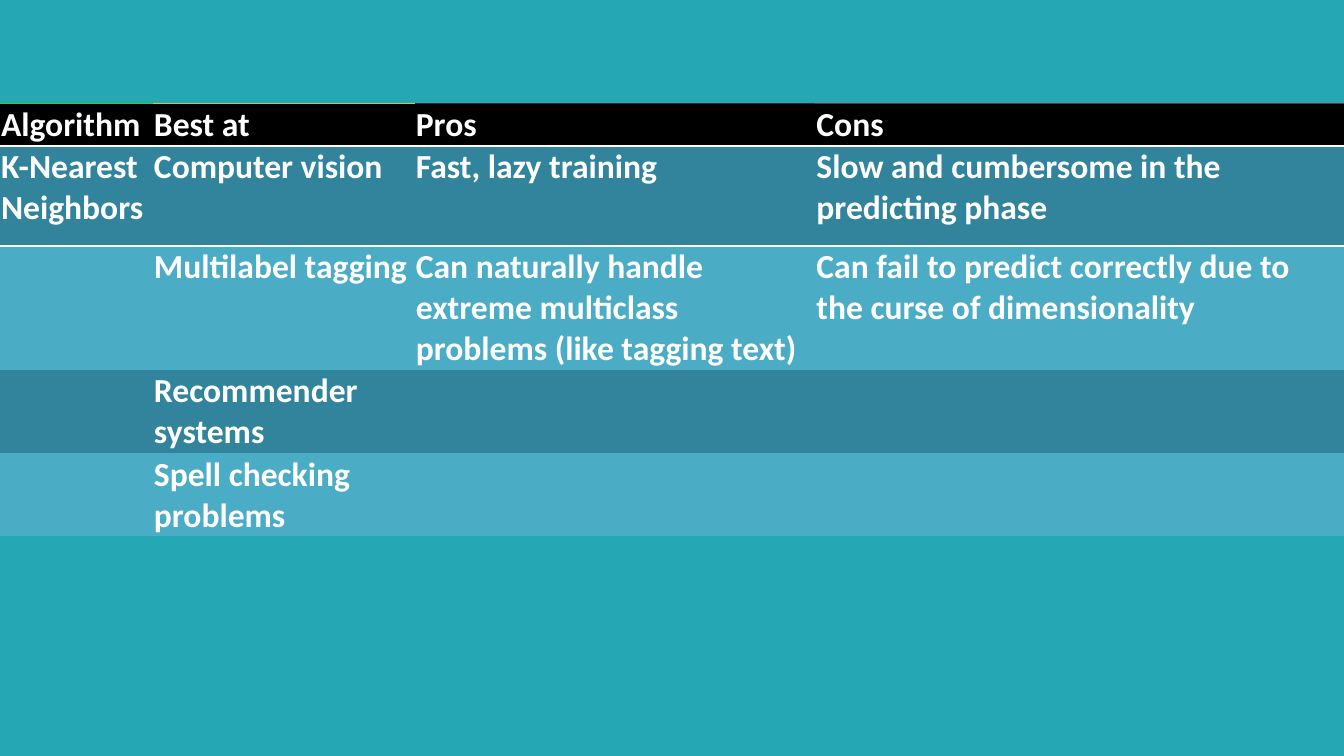
import pptx
import pptx.dml.color
import pptx.oxml
import pptx.oxml.ns
import pptx.util

Cm = pptx.util.Cm
RGBColor = pptx.dml.color.RGBColor

TEAL = RGBColor(0x26, 0xA7, 0xB4)
BLACK = RGBColor(0x00, 0x00, 0x00)
WHITE = RGBColor(0xFF, 0xFF, 0xFF)
DARK_BAND = RGBColor(0x31, 0x84, 0x9B)
LIGHT_BAND = RGBColor(0x4B, 0xAC, 0xC6)
HEADER_TOPS = [
    RGBColor(0x10, 0xDE, 0x40),
    RGBColor(0xB0, 0xD9, 0x40),
    RGBColor(0x40, 0x21, 0x44),
    RGBColor(0x70, 0x2D, 0x44),
]
PLAIN_STYLE = "{2D5ABB26-0587-4C30-8999-92F81FD0307C}"

COLUMN_WIDTHS = [2.89, 4.95, 7.57, 9.99]
ROW_HEIGHTS = [0.77, 1.89, 2.31, 1.54, 1.54]
COMPARISON = [
    ["Algorithm", "Best at", "Pros", "Cons"],
    ["K-Nearest Neighbors", "Computer vision", "Fast, lazy training",
     "Slow and cumbersome in the predicting phase"],
    ["", "Multilabel tagging",
     "Can naturally handle extreme multiclass problems (like tagging text)",
     "Can fail to predict correctly due to the curse of dimensionality"],
    ["", "Recommender systems", "", ""],
    ["", "Spell checking problems", "", ""],
]


def add_border(cell, side, color, points):
    """Draw one cell edge; side is T or B. Add B before T to keep schema order."""
    line = pptx.oxml.parse_xml(
        f'<a:ln{side} {pptx.oxml.ns.nsdecls("a")} w="{pptx.util.Pt(points)}">'
        f'<a:solidFill><a:srgbClr val="{color}"/></a:solidFill></a:ln{side}>'
    )
    cell._tc.get_or_add_tcPr().insert(0, line)


presentation = pptx.Presentation()
presentation.slide_width = Cm(25.4)
presentation.slide_height = Cm(14.29)
slide = presentation.slides.add_slide(presentation.slide_layouts[6])
slide.background.fill.solid()
slide.background.fill.fore_color.rgb = TEAL

table = slide.shapes.add_table(
    len(ROW_HEIGHTS), len(COLUMN_WIDTHS), Cm(0), Cm(1.96),
    Cm(sum(COLUMN_WIDTHS)), Cm(sum(ROW_HEIGHTS)),
).table
table.first_row = False
table.horz_banding = False
table._tbl.tblPr.find(pptx.oxml.ns.qn("a:tableStyleId")).text = PLAIN_STYLE

for column, width in zip(table.columns, COLUMN_WIDTHS):
    column.width = Cm(width)

for row_number, (row, height) in enumerate(zip(table.rows, ROW_HEIGHTS)):
    row.height = Cm(height)
    if row_number == 0:
        band = BLACK
    else:
        band = DARK_BAND if row_number % 2 else LIGHT_BAND
    for cell, wording, header_top in zip(row.cells, COMPARISON[row_number], HEADER_TOPS):
        cell.margin_left = cell.margin_right = cell.margin_top = Cm(0.02)
        cell.margin_bottom = Cm(0)
        cell.fill.solid()
        cell.fill.fore_color.rgb = band
        cell.text_frame.text = wording
        for run in cell.text_frame.paragraphs[0].runs:
            run.font.name = "Calibri"
            run.font.size = pptx.util.Pt(18)
            run.font.bold = True
            run.font.color.rgb = WHITE
        if row_number == 0:
            add_border(cell, "B", WHITE, 1)
            add_border(cell, "T", header_top, 0.5)
        elif row_number == 1:
            add_border(cell, "T", WHITE, 1)

presentation.save("out.pptx")
